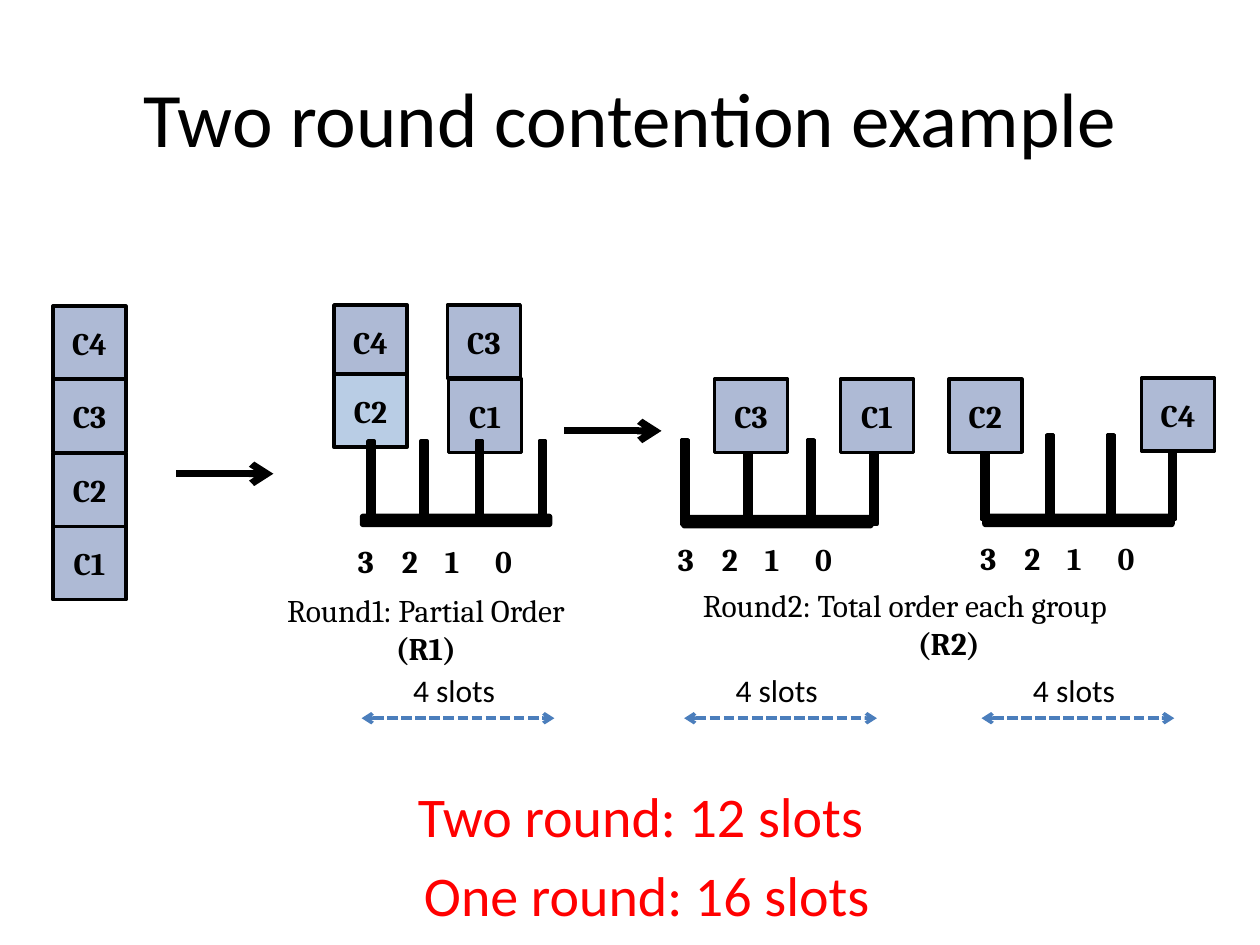
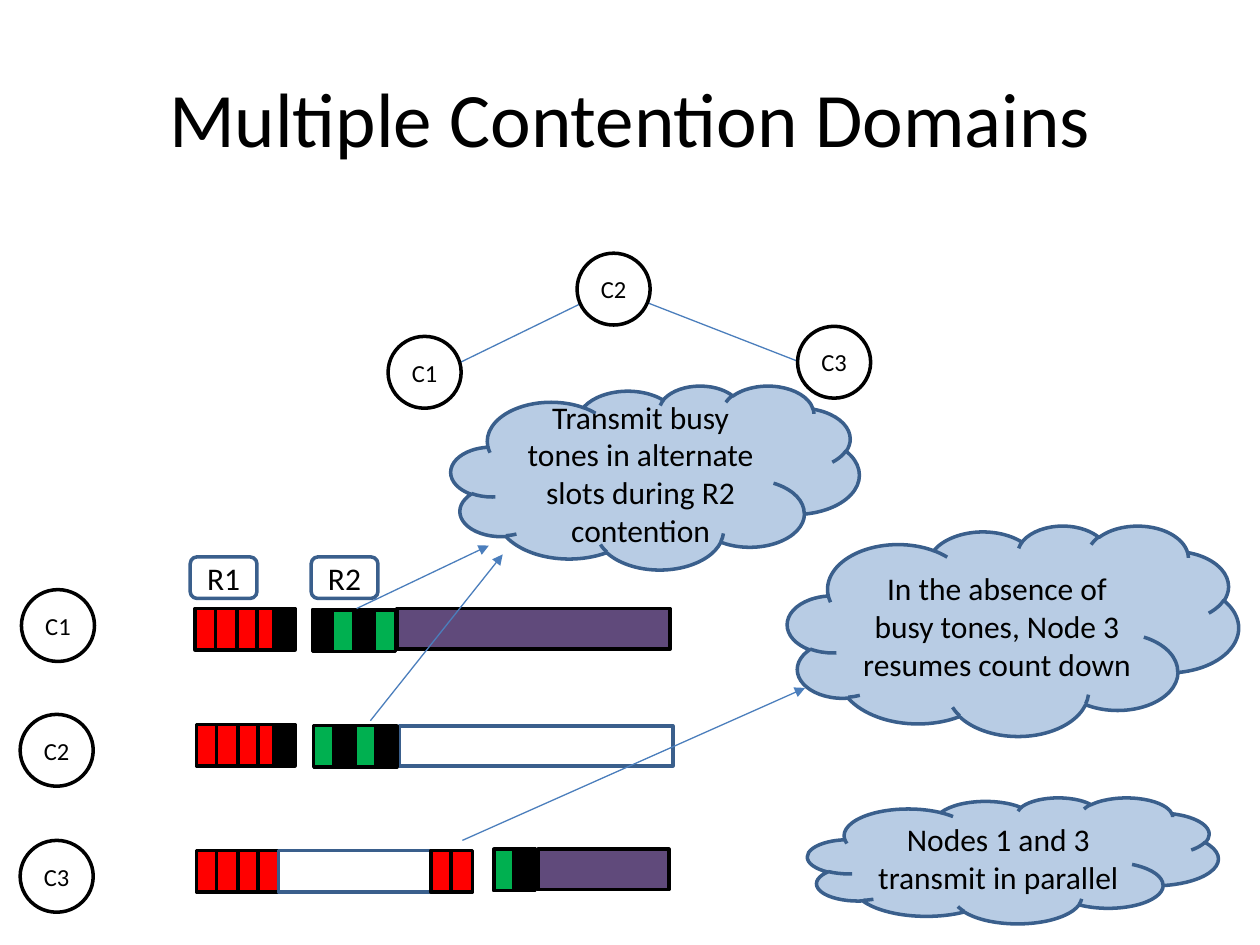
from dataclasses import dataclass

from lxml import etree
from pptx import Presentation
from pptx.dml.color import RGBColor
from pptx.enum.dml import MSO_LINE
from pptx.enum.shapes import MSO_CONNECTOR, MSO_SHAPE
from pptx.enum.text import MSO_ANCHOR, MSO_AUTO_SIZE, PP_ALIGN
from pptx.oxml.ns import qn
from pptx.util import Emu, Pt

RECT, ROUNDED = MSO_SHAPE.RECTANGLE, MSO_SHAPE.ROUNDED_RECTANGLE
OVAL, CLOUD = MSO_SHAPE.OVAL, MSO_SHAPE.CLOUD
STRAIGHT, DASHED = MSO_CONNECTOR.STRAIGHT, MSO_LINE.SQUARE_DOT
LEFT, CENTER = PP_ALIGN.LEFT, PP_ALIGN.CENTER
TOP, MIDDLE = MSO_ANCHOR.TOP, MSO_ANCHOR.MIDDLE
FIT = MSO_AUTO_SIZE.SHAPE_TO_FIT_TEXT
PX = 9144  # 100 px to the inch


@dataclass(frozen=True)
class Theme:
    black: str = "000000"
    white: str = "FFFFFF"
    red: str = "FF0000"
    green: str = "00B050"
    purple: str = "604A7B"
    node: str = "AEBAD5"
    node_light: str = "B9CDE5"
    cloud: str = "4F81BD"
    outline: str = "3A5F8C"
    link: str = "4B7EBC"
    sans: str = "Calibri"
    serif: str = "Cambria"
    title: int = 44
    result: int = 32
    body: int = 18
    small: int = 14


T = Theme()


def px(*lengths):
    return [Emu(n * PX) for n in lengths]


def rgb(color):
    return RGBColor.from_string(color)


def write(tf, text, size=T.body, font=T.sans, color=T.black, bold=False,
          align=CENTER, tabs=()):
    """Add one paragraph to the text frame."""
    p = tf.paragraphs[0]
    if p.runs:
        p = tf.add_paragraph()
    p.alignment = align
    if tabs:
        tab_list = etree.SubElement(p._p.get_or_add_pPr(), qn("a:tabLst"))
        for tab in tabs:
            etree.SubElement(tab_list, qn("a:tab"), pos=str(tab * PX), algn="l")
    r = p.add_run()
    r.text = text
    r.font.size, r.font.name, r.font.bold = Pt(size), font, bold
    r.font.color.rgb = rgb(color)


class Deck:
    def __init__(self, theme):
        self.theme = theme
        self.prs = Presentation()
        self.prs.slide_width, self.prs.slide_height = px(1000, 750)
        self.s = None

    def slide(self, title):
        self.s = self.prs.slides.add_slide(self.prs.slide_layouts[6])
        tf = self.box(50, 30, 900, 125, wrap=True, anchor=MIDDLE)
        write(tf, title, size=self.theme.title)

    def box(self, x, y, w, h, wrap=False, anchor=TOP, inset=10):
        tf = self.s.shapes.add_textbox(*px(x, y, w, h)).text_frame
        tf.word_wrap, tf.vertical_anchor = wrap, anchor
        tf.margin_left = px(inset)[0]
        if anchor == TOP:
            tf.auto_size = FIT
        return tf

    def shape(self, kind, x, y, w, h, fill, line=T.black, text="", alpha=None,
              **fmt):
        sp = self.s.shapes.add_shape(kind, *px(x, y, w, h))
        sp.shadow.inherit = False
        sp.fill.solid()
        sp.fill.fore_color.rgb = rgb(fill)
        if alpha is not None:
            color = sp.fill._xPr.find(".//" + qn("a:srgbClr"))
            etree.SubElement(color, qn("a:alpha"), val=str(alpha * 1000))
        sp.line.color.rgb, sp.line.width = rgb(line), Pt(2)
        if text:
            tf = sp.text_frame
            tf.word_wrap, tf.vertical_anchor = True, MIDDLE
            if kind != CLOUD:
                tf.margin_left = tf.margin_right = 0
                tf.margin_top = tf.margin_bottom = 0
            write(tf, text, **fmt)

    def line(self, x1, y1, x2, y2, color=T.link, width=0.75, dash=None,
             head=None, tail=None):
        cx = self.s.shapes.add_connector(STRAIGHT, *px(x1, y1, x2, y2))
        cx.line.color.rgb, cx.line.width = rgb(color), Pt(width)
        if dash:
            cx.line.dash_style = dash
        ln = cx.line._get_or_add_ln()
        for tag, end in (("a:headEnd", head), ("a:tailEnd", tail)):
            if end:
                etree.SubElement(ln, qn(tag), type=end)
        etree.SubElement(cx._element.spPr, qn("a:effectLst"))

    def node(self, name, x, y, fill=T.node):
        self.shape(RECT, x, y, 58, 58, fill, text=name, font=T.serif, bold=True)

    def circle(self, name, x, y):
        self.shape(OVAL, x, y, 58, 57, T.white, text=name, size=T.small)

    def cloud(self, text, x, y, w, h):
        self.shape(CLOUD, x, y, w, h, T.cloud, T.outline, text, alpha=40)

    def comb(self, prongs, top, bar_x, bar_y):
        for x in prongs:
            self.shape(RECT, x, top, 5, 67, T.black)
        self.shape(ROUNDED, bar_x, bar_y, 150, 8, T.black)

    def slot_numbers(self, x, y):
        tf = self.box(x, y, 185, 40, wrap=True, inset=20)
        write(tf, "3\t2\t1\t0", font=T.serif, bold=True, align=LEFT,
              tabs=(35, 69, 109))

    def slot_span(self, x):
        self.line(x, 570, x + 153, 570, width=2, dash=DASHED,
                  head="arrow", tail="arrow")
        write(self.box(x + 31, 528, 86, 40), "4 slots", align=LEFT)

    def round_label(self, text, tag, x, y, w, wrap):
        tf = self.box(x, y, w, 71, wrap=wrap)
        write(tf, text, font=T.serif, align=LEFT)
        write(tf, tag, font=T.serif, bold=True)

    def slots(self, x, y, colors):
        for i, color in enumerate(colors):
            self.shape(RECT, x + round(i * 16.4), y, 17, 33, color)


def two_rounds(d):
    d.slide("Two round contention example")

    # Contending nodes, stacked
    for i, name in enumerate(("C4", "C3", "C2", "C1")):
        d.node(name, 42, 243 + round(i * 58.4))

    # Arrows into each round
    for x, y in ((140, 376), (448, 342)):
        d.line(x, y, x + 77, y, color=T.black, width=4, tail="arrow")

    # Round 1: nodes stand behind the prongs
    d.node("C4", 265, 242)
    d.node("C1", 356, 301)
    d.node("C2", 265, 297, T.node_light)
    d.node("C3", 355, 242)
    d.comb((292, 334, 378, 428), 350, 287, 409)

    # Round 2: nodes stand in front of the prongs
    d.comb((541, 591, 641, 691), 349, 542, 410)
    d.comb((779, 831, 879, 928), 345, 781, 409)
    for name, x, y in (("C3", 567, 301), ("C1", 667, 301),
                       ("C2", 753, 301), ("C4", 906, 300)):
        d.node(name, x, y)

    # Slot numbers, spans and captions
    for number_x, number_y, span_x in ((264, 425, 287), (518, 424, 543),
                                       (758, 423, 779)):
        d.slot_numbers(number_x, number_y)
        d.slot_span(span_x)
    d.round_label("Round1: Partial Order", "(R1)", 218, 464, 282, False)
    d.round_label("Round2: Total order each group", "(R2)", 548, 460, 410, True)

    # Result
    for text, x, y in (("Two round: 12 slots", 320, 615),
                       ("One round: 16 slots", 325, 678)):
        write(d.box(x, y, 377, 64), text, size=T.result, color=T.red)


def contention_domains(d):
    d.slide("Multiple Contention Domains")

    # Topology and row names
    d.line(467, 238, 344, 298)
    d.line(508, 238, 639, 289)
    for name, x, y in (("C1", 308, 267), ("C2", 458, 201), ("C3", 633, 259),
                       ("C1", 17, 468), ("C2", 16, 567), ("C3", 16, 667)):
        d.circle(name, x, y)

    # Round headings
    for name, x in (("R1", 151), ("R2", 247)):
        d.shape(ROUNDED, x, 442, 53, 33, T.white, T.outline, name)

    # Timelines of C1 and C2
    for x, y in ((155, 483), (156, 575)):
        d.slots(x, y, [T.red] * 4)
        d.slots(217, y, [T.black])
    d.shape(RECT, 315, 483, 217, 32, T.purple)
    d.shape(RECT, 317, 576, 217, 32, T.white, T.outline)
    d.slots(248, 484, [T.black, T.green] * 2)
    d.slots(249, 576, [T.green, T.black] * 2)

    # Timeline of C3
    d.slots(156, 675, [T.red] * 4)
    d.shape(RECT, 221, 675, 122, 33, T.white, T.outline)
    d.slots(342, 675, [T.red] * 2)
    d.slots(392, 674, [T.green, T.black])
    d.shape(RECT, 427, 674, 104, 32, T.purple)

    # Remarks and their pointers
    d.cloud("In the absence of busy tones, Node 3 resumes count down",
            625, 417, 358, 167)
    d.cloud("Nodes 1 and 3 transmit in parallel", 641, 633, 326, 100)
    d.cloud("Transmit busy tones in alternate slots during R2 contention",
            358, 306, 324, 146)
    for ends in ((367, 667, 639, 546), (283, 483, 388, 433),
                 (294, 572, 399, 440)):
        d.line(*ends, tail="triangle")


def main():
    d = Deck(T)
    two_rounds(d)
    contention_domains(d)
    d.prs.save("out.pptx")


if __name__ == "__main__":
    main()
